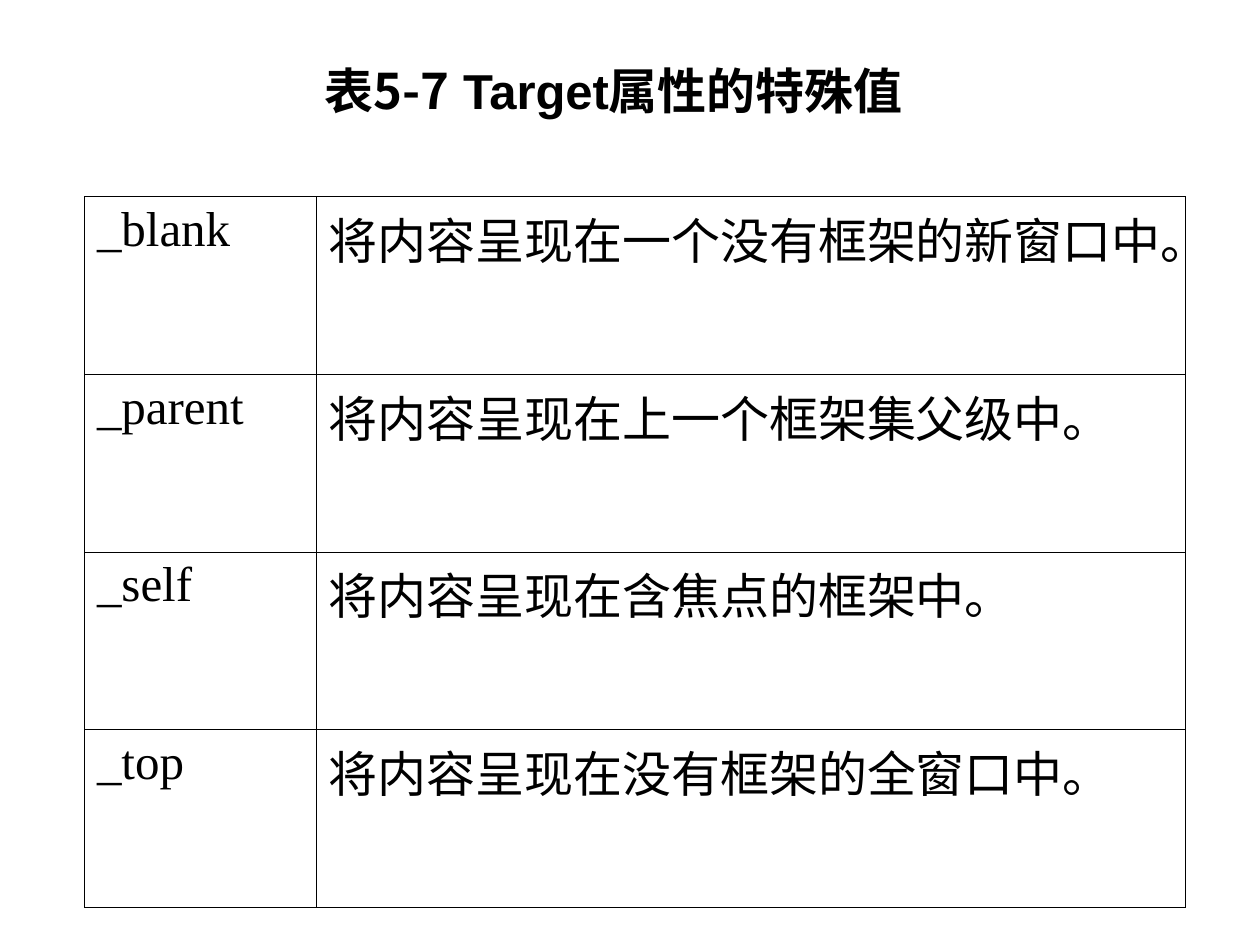
from lxml.etree import SubElement as Sub
from pptx import Presentation
from pptx.dml.color import RGBColor as Rgb
from pptx.enum.text import MSO_ANCHOR as Anchor, MSO_AUTO_SIZE as Fit, PP_ALIGN as Align
from pptx.oxml.ns import qn
from pptx.util import Inches, Pt

COLORS = {"text": "000000", "line": "000000", "back": "FFFFFF"}
HAN, SANS, SERIF = "Noto Sans CJK SC", "Arial", "Times New Roman"

TITLE = [("表5-7", HAN), (" Target", SANS), ("属性的特殊值", HAN)]
ROWS = [
    ("_blank", "将内容呈现在一个没有框架的新窗口中。"),
    ("_parent", "将内容呈现在上一个框架集父级中。"),
    ("_self", "将内容呈现在含焦点的框架中。"),
    ("_top", "将内容呈现在没有框架的全窗口中。"),
]


class Deck:
    def __init__(self, width, height):
        self.show = Presentation()
        self.show.slide_width, self.show.slide_height = Inches(width), Inches(height)
        self.slide = self.show.slides.add_slide(self.show.slide_layouts[5])
        fill = self.slide.background.fill
        fill.solid()
        fill.fore_color.rgb = Rgb.from_string(COLORS["back"])
        self.size = Pt(28)

    def style(self, para, bold=False):
        font = para.font
        font.size, font.bold = self.size, bold
        font.color.rgb = Rgb.from_string(COLORS["text"])

    def face(self, font, props, name):
        """Set the Latin font, with the Chinese font beside it."""
        font.name = name
        Sub(props, qn("a:ea"), typeface=HAN)

    def title(self, parts, left, top, width, height):
        box = self.slide.shapes.title
        box.left, box.top = Inches(left), Inches(top)
        box.width, box.height = Inches(width), Inches(height)
        frame = box.text_frame
        frame.auto_size, frame.vertical_anchor = Fit.NONE, Anchor.TOP
        para = frame.paragraphs[0]
        para.alignment = Align.CENTER
        self.style(para, bold=True)
        for text, name in parts:
            run = para.add_run()
            run.text = text
            self.face(run.font, run._r.get_or_add_rPr(), name)

    def border(self, cell):
        props = cell._tc.get_or_add_tcPr()
        for side in ("lnL", "lnR", "lnT", "lnB"):
            line = Sub(props, qn(f"a:{side}"), w=str(Pt(0.34)))
            fill = Sub(line, qn("a:solidFill"))
            Sub(fill, qn("a:srgbClr"), val=COLORS["line"])

    def table(self, rows, left, top, widths, height):
        shape = self.slide.shapes.add_table(
            len(rows), len(widths), Inches(left), Inches(top),
            Inches(sum(widths)), Inches(height * len(rows)))
        table = shape.table
        table.first_row = table.horz_banding = False
        for col, width in zip(table.columns, widths):
            col.width = Inches(width)
        for row, texts in zip(table.rows, rows):
            row.height = Inches(height)
            for cell, text in zip(row.cells, texts):
                cell.text = text
                para = cell.text_frame.paragraphs[0]
                self.style(para)
                self.face(para.font, para._p.pPr.find(qn("a:defRPr")), SERIF)
                self.border(cell)
                cell.fill.background()


def main():
    deck = Deck(10, 7.5)
    deck.title(TITLE, 2.09, 0.43, 5.56, 0.57)
    deck.table(ROWS, 0.67, 1.56, (1.84, 6.9), 1.41)
    deck.show.save("out.pptx")


if __name__ == "__main__":
    main()
